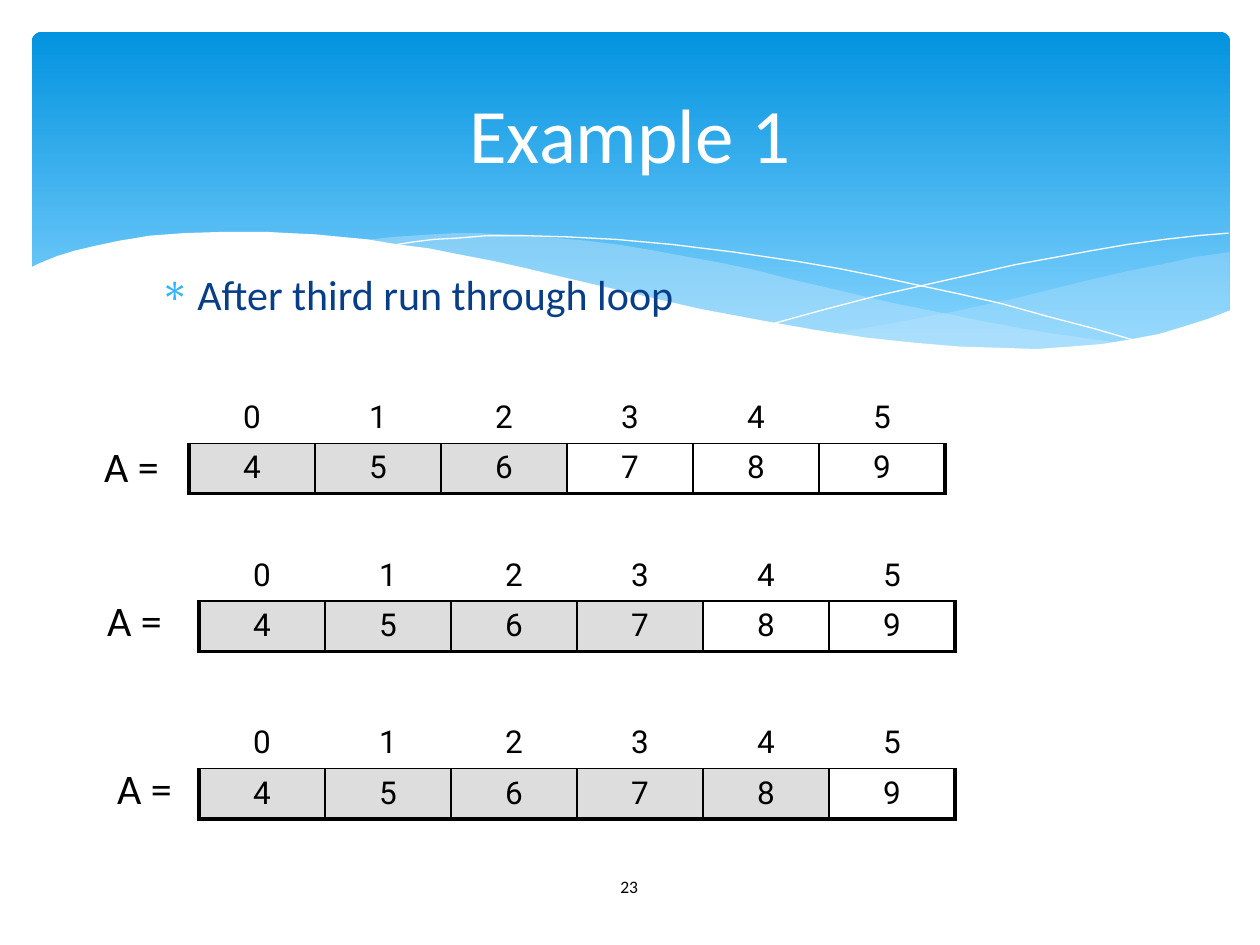
"""Build the slide that shows an array after three runs through a loop."""
import lxml.etree
import pptx
import pptx.dml.color
import pptx.enum.shapes
import pptx.enum.text
import pptx.oxml.ns
import pptx.util

Cm, Pt = pptx.util.Cm, pptx.util.Pt
qn = pptx.oxml.ns.qn
CENTER = pptx.enum.text.PP_ALIGN.CENTER
MIDDLE = pptx.enum.text.MSO_ANCHOR.MIDDLE


def hue(code):
    return pptx.dml.color.RGBColor.from_string(code)


def write(frame, text, size=18, tone="000000", face="Calibri", align=None, anchor=None, wrap=None):
    if anchor is not None:
        frame.vertical_anchor = anchor
    if wrap is not None:
        frame.word_wrap = wrap
    para = frame.paragraphs[0]
    para.alignment = align
    run = para.add_run()
    run.text = text
    run.font.size = Pt(size)
    run.font.name = face
    run.font.color.rgb = hue(tone)
    return para


deck = pptx.Presentation()
deck.slide_width, deck.slide_height = Cm(25.4), Cm(19.05)
slide = deck.slides.add_slide(deck.slide_layouts[6])
shapes = slide.shapes

banner = shapes.add_shape(
    pptx.enum.shapes.MSO_SHAPE.ROUNDED_RECTANGLE, Cm(0.64), Cm(0.64), Cm(24.16), Cm(6.86))
banner.adjustments[0] = 0.03
banner.shadow.inherit = False
banner.line.fill.background()
banner.fill.gradient()
banner.fill.gradient_angle = 270
for stop, (place, tone) in zip(banner.fill.gradient_stops, [(0, "0293E0"), (0.9, "83D3FE")]):
    stop.position = place
    stop.color.rgb = hue(tone)

right = [(976, 200), (948, 204), (921, 210), (891, 216), (861, 223), (805, 237), (753, 248),
         (706, 257), (661, 265), (691, 269), (719, 272), (745, 275), (769, 277), (803, 278),
         (835, 277), (863, 275), (889, 272), (913, 267), (935, 262), (949, 257), (976, 247)]
middle = [(893, 273), (866, 269), (837, 265), (807, 260), (775, 254), (741, 247), (706, 240),
          (668, 231), (629, 222), (598, 214), (569, 208), (541, 203), (514, 198), (489, 194),
          (465, 191), (442, 189), (420, 187), (399, 186), (380, 185), (361, 185), (344, 186),
          (313, 188), (286, 191), (323, 196), (362, 203), (404, 211), (449, 222), (491, 232),
          (530, 240), (566, 248), (601, 255), (634, 261), (665, 266), (695, 270), (722, 274),
          (748, 276), (773, 277), (807, 278), (838, 278), (867, 276)]
fall = [(309, 195), (328, 192), (344, 190), (363, 189), (387, 187), (416, 187), (450, 188),
        (489, 190), (533, 194), (582, 200), (636, 208), (665, 213), (695, 219), (727, 226),
        (760, 233), (795, 241), (831, 251), (869, 261), (907, 272)]
rise = [(613, 257), (653, 246), (695, 235), (748, 223), (806, 210), (866, 199), (895, 194),
        (924, 190), (951, 187), (975, 185)]
front = [(977, 246), (959, 253), (940, 259), (920, 265), (899, 269), (875, 273), (850, 275),
         (823, 277), (793, 276), (761, 275), (726, 272), (688, 268), (648, 262), (603, 254),
         (555, 245), (503, 233), (447, 220), (418, 213), (391, 207), (365, 202), (340, 197),
         (316, 194), (292, 190), (271, 188), (250, 186), (230, 185), (211, 184), (177, 184),
         (146, 185), (119, 187), (95, 191), (76, 195), (59, 199), (46, 203), (36, 207),
         (29, 210), (23, 213), (23, 329), (977, 329)]

for points, tone, alpha in [(right, "C6E7FC", 29), (middle, "C6E7FC", 40),
                            (fall, None, None), (rise, None, None), (front, "FFFFFF", 100)]:
    path = shapes.build_freeform(*points[0], scale=Cm(2.54) / 100)
    path.add_line_segments(points[1:], close=tone is not None)
    wave = path.convert_to_shape()
    wave.shadow.inherit = False
    if tone is None:
        wave.fill.background()
        wave.line.color.rgb = hue("FFFFFF")
        wave.line.width = Pt(0)
        continue
    wave.line.fill.background()
    wave.fill.solid()
    wave.fill.fore_color.rgb = hue(tone)
    if alpha < 100:
        color = wave.fill._xPr.find(".//" + qn("a:srgbClr"))
        lxml.etree.SubElement(color, qn("a:alpha"), val=str(alpha * 1000))

body = shapes.add_textbox(Cm(2.97), Cm(5.28), Cm(21.59), Cm(1.47))
para = write(body.text_frame, "After third run through loop", size=24, tone="073E87", wrap=True)
props = para._p.get_or_add_pPr()
props.set("marL", str(Cm(0.76)))
props.set("indent", str(Cm(-0.76)))
tint = lxml.etree.SubElement(props, qn("a:buClr"))
lxml.etree.SubElement(tint, qn("a:srgbClr"), val="31B6FD")
lxml.etree.SubElement(props, qn("a:buChar"), char="∗")

number = shapes.add_textbox(Cm(11.07), Cm(17.37), Cm(3.23), Cm(1.02))
write(number.text_frame, "23", size=10, align=CENTER, anchor=MIDDLE, wrap=True)
title = shapes.add_textbox(Cm(1.27), Cm(0.94), Cm(22.86), Cm(3.48))
write(title.text_frame, "Example 1", size=44, tone="FFFFFF", align=CENTER, anchor=MIDDLE, wrap=True)

count = 6
for left, top, done, edge, base in [(3.81, 7.92, 3, 1.85, 8.76), (4.01, 11.1, 4, 1.91, 11.86),
                                    (4.01, 14.48, 5, 2.11, 15.24)]:
    table = shapes.add_table(2, count, Cm(left), Cm(top), Cm(2.54 * count), Cm(2)).table
    table.first_row = table.horz_banding = False
    table._tbl.tblPr.find(qn("a:tableStyleId")).text = "{2D5ABB26-0587-4C30-8999-92F81FD0307C}"
    for col in range(count):
        head, cell = table.cell(0, col), table.cell(1, col)
        write(head.text_frame, str(col), face="Roboto", align=CENTER)
        write(cell.text_frame, str(col + 4), face="Roboto", align=CENTER)
        head.fill.background()
        if col < done:
            cell.fill.solid()
            cell.fill.fore_color.rgb = hue("DDDDDD")
        else:
            cell.fill.background()
        sides = {"L": 2.25 if col == 0 else 1, "R": 2.25 if col == count - 1 else 1,
                 "T": 1, "B": 2.25}
        for box, lines in [(head, {"B": 1}), (cell, sides)]:
            for spot, (side, width) in enumerate(lines.items()):
                line = lxml.etree.Element(qn("a:ln" + side), w=str(Pt(width)))
                fill = lxml.etree.SubElement(line, qn("a:solidFill"))
                lxml.etree.SubElement(fill, qn("a:srgbClr"), val="000000")
                box._tc.get_or_add_tcPr().insert(spot, line)
    label = shapes.add_textbox(Cm(edge), Cm(base), Cm(1.91), Cm(1.27))
    write(label.text_frame, "A =", size=24, wrap=False)

deck.save("out.pptx")
